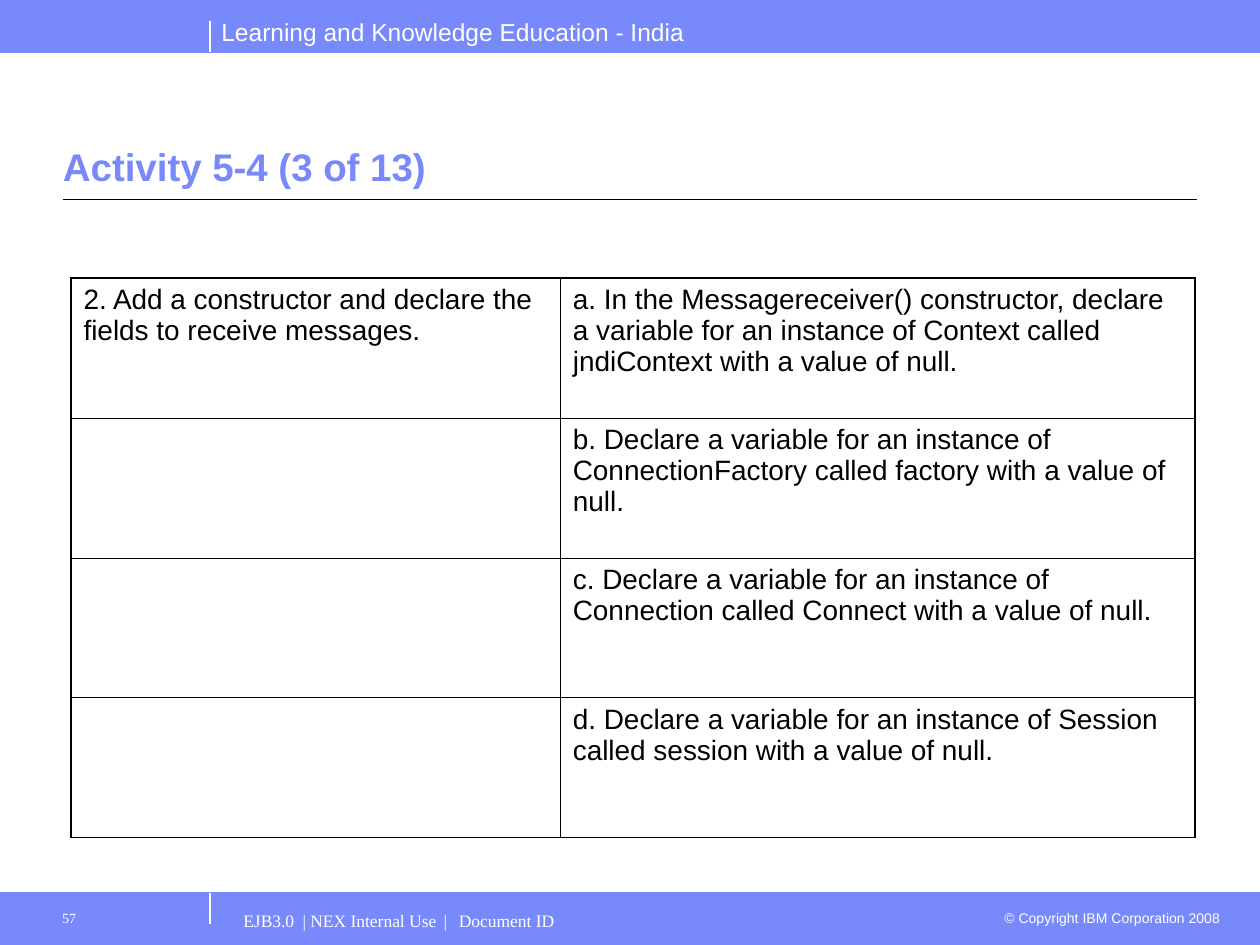
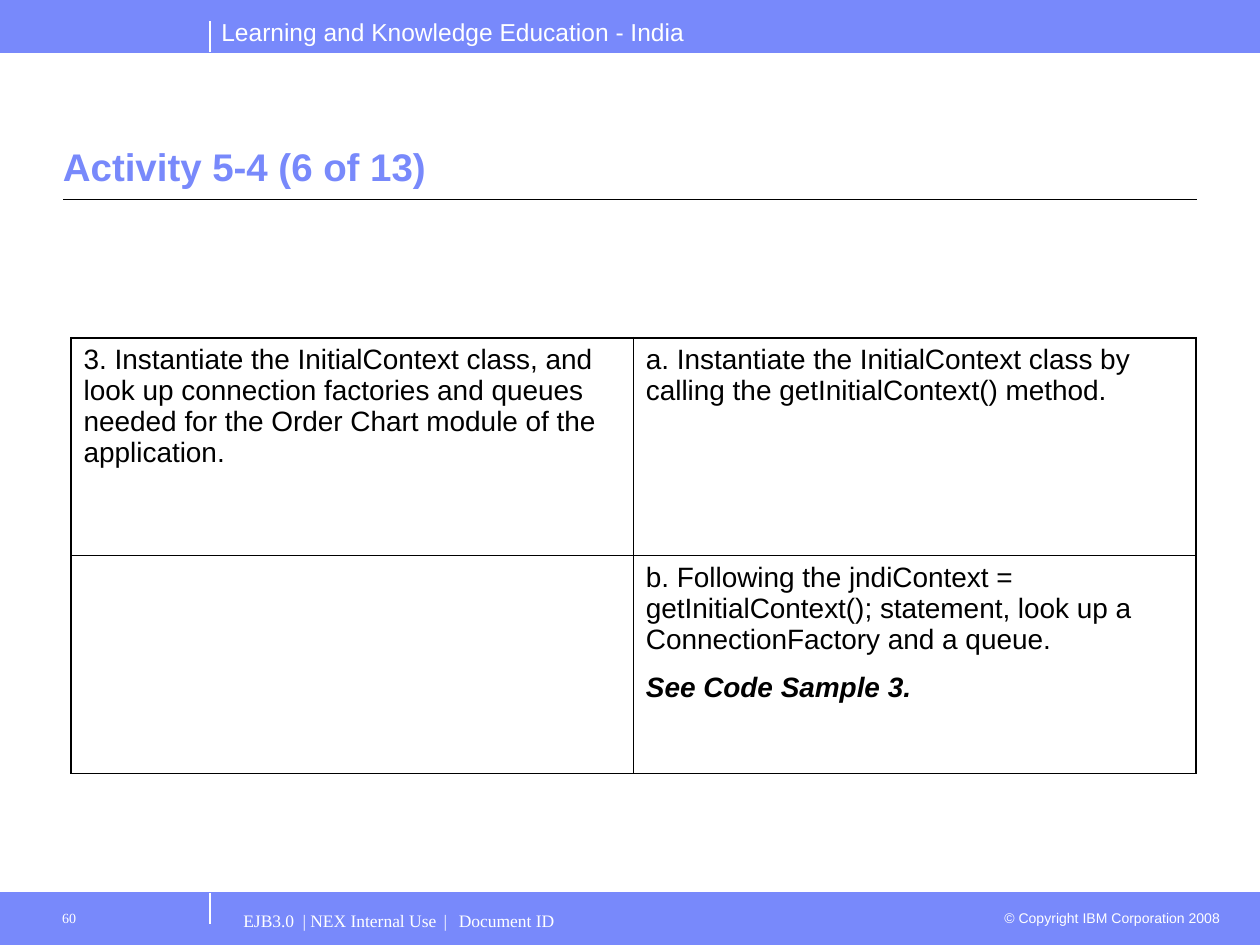
from lxml.etree import SubElement
from pptx import Presentation
from pptx.dml.color import RGBColor
from pptx.enum.shapes import MSO_CONNECTOR, MSO_SHAPE
from pptx.enum.text import MSO_ANCHOR, PP_ALIGN
from pptx.oxml.ns import qn
from pptx.util import Inches, Pt

# The slide is a grid of 60 columns by 45 rows; positions are in grid units.
COLUMNS, ROWS = 60, 45
UNIT = Inches(10) // COLUMNS
BAND_HEIGHT = 2.5
FOOTER_TOP = ROWS - BAND_HEIGHT
DIVIDER = 10
MARGIN = 3
TABLE_LEFT = 3.38

BLUE = RGBColor(0x78, 0x89, 0xFB)
WHITE = RGBColor(0xFF, 0xFF, 0xFF)
BLACK = RGBColor(0x00, 0x00, 0x00)
SANS, SERIF = "Arial", "Times New Roman"
OUTER_BORDER, INNER_BORDER = Pt(1.08), Pt(0.45)

HEADER = "Learning and Knowledge Education - India"
COPYRIGHT = "© Copyright IBM Corporation 2008"
FOOTER = "EJB3.0\t| NEX Internal Use\t|\tDocument ID"
FOOTER_TABS = (0.47, 1.59, 1.71)

# Start and end of each line, then its colour and width in points.
FRAME_LINES = [
    (DIVIDER, ROWS - 1, DIVIDER, FOOTER_TOP, WHITE, 0.75),
    (0, BAND_HEIGHT, COLUMNS, BAND_HEIGHT, BLUE, 0.5),
    (0, FOOTER_TOP, COLUMNS, FOOTER_TOP, BLUE, 0.5),
    (MARGIN, 9.5, COLUMNS - MARGIN, 9.5, BLACK, 0.75),
    (DIVIDER, BAND_HEIGHT, DIVIDER, 1, WHITE, 0.75),
]

ACTIVITIES = [
    {
        "title": "Activity 5-4 (3 of 13)",
        "number": "57",
        "top": 13.25,
        "widths": (23.3, 30.22),
        "row_height": 6.66,
        "rows": [
            ("2. Add a constructor and declare the fields to receive messages.",
             "a. In the Messagereceiver() constructor, declare a variable for an "
             "instance of Context called jndiContext with a value of null."),
            ("", "b. Declare a variable for an instance of ConnectionFactory "
                 "called factory with a value of null."),
            ("", "c. Declare a variable for an instance of Connection called "
                 "Connect with a value of null."),
            ("", "d. Declare a variable for an instance of Session called "
                 "session with a value of null."),
        ],
    },
    {
        "title": "Activity 5-4 (6 of 13)",
        "number": "60",
        "top": 16.08,
        "widths": (26.78, 26.8),
        "row_height": 10.38,
        "rows": [
            ("3. Instantiate the InitialContext class, and look up connection "
             "factories and queues needed for the Order Chart module of the "
             "application.",
             "a. Instantiate the InitialContext class by calling the "
             "getInitialContext() method."),
            ("", "b. Following the jndiContext = getInitialContext(); statement, "
                 "look up a ConnectionFactory and a queue.\nSee Code Sample 3."),
        ],
    },
]


def grid(*lengths):
    """Turn grid units into slide lengths."""
    return [round(length * UNIT) for length in lengths]


def add_text(slide, box, text, font, size, color=WHITE, left_inset=0.1,
             top_inset=0.05, tabs=()):
    """Add a one-paragraph text box and return its text frame."""
    frame = slide.shapes.add_textbox(*grid(*box)).text_frame
    frame.word_wrap = True
    frame.margin_left = Inches(left_inset)
    frame.margin_top = Inches(top_inset)
    paragraph = frame.paragraphs[0]
    paragraph.text = text
    if tabs:
        tab_list = SubElement(paragraph._p.get_or_add_pPr(), qn("a:tabLst"))
        for position in tabs:
            SubElement(tab_list, qn("a:tab"), pos=str(Inches(position)), algn="l")
    paragraph.font.name = font
    paragraph.font.size = Pt(size)
    paragraph.font.color.rgb = color
    return frame


presentation = Presentation()
presentation.slide_width, presentation.slide_height = grid(COLUMNS, ROWS)

for activity in ACTIVITIES:
    slide = presentation.slides.add_slide(presentation.slide_layouts[6])

    # Bands and lines
    for band_top in (FOOTER_TOP, 0):
        band = slide.shapes.add_shape(
            MSO_SHAPE.RECTANGLE, *grid(0, band_top, COLUMNS, BAND_HEIGHT))
        band.shadow.inherit = False
        band.fill.solid()
        band.fill.fore_color.rgb = BLUE
        band.line.color.rgb = BLUE
        band.line.width = Pt(0.75)
    for *ends, color, width in FRAME_LINES:
        line = slide.shapes.add_connector(MSO_CONNECTOR.STRAIGHT, *grid(*ends))
        line.line.color.rgb = color
        line.line.width = Pt(width)
        SubElement(line._element.spPr, qn("a:effectLst"))

    # Header, title and footer
    add_text(slide, (9.95, 0.5, 25, 2), HEADER, SANS, 14)
    notice = add_text(slide, (47, 43, 11.7, 1.45), COPYRIGHT, SANS, 8)
    notice.paragraphs[0].alignment = PP_ALIGN.RIGHT
    title = add_text(slide, (MARGIN, 3.8, COLUMNS - 2 * MARGIN, 5.5),
                     activity["title"], SANS, 22, BLUE, left_inset=0)
    title.vertical_anchor = MSO_ANCHOR.BOTTOM
    title.paragraphs[0].font.bold = True
    add_text(slide, (11, 42.9, 36, 2.1), FOOTER, SERIF, 10,
             top_inset=0.07, tabs=FOOTER_TABS)
    add_text(slide, (2, 42.9, 8, 2.1), activity["number"], SERIF, 8,
             left_inset=0.16, top_inset=0.07)

    # Table of steps
    steps, widths = activity["rows"], activity["widths"]
    row_height = activity["row_height"]
    table = slide.shapes.add_table(
        len(steps), len(widths),
        *grid(TABLE_LEFT, activity["top"], sum(widths), row_height * len(steps))
    ).table
    table.first_row = False
    table.horz_banding = False
    for column, width in zip(table.columns, grid(*widths)):
        column.width = width
    for row_index, step in enumerate(steps):
        table.rows[row_index].height = grid(row_height)[0]
        for column_index, text in enumerate(step):
            cell = table.cell(row_index, column_index)
            cell.text = text
            for paragraph in cell.text_frame.paragraphs:
                paragraph.space_after = Pt(10)
                paragraph.font.name = SANS
                paragraph.font.size = Pt(16)
                paragraph.font.color.rgb = BLACK
                if paragraph.text.startswith("See Code"):
                    paragraph.font.bold = True
                    paragraph.font.italic = True
            outer_sides = {
                "lnL": column_index == 0,
                "lnR": column_index == len(widths) - 1,
                "lnT": row_index == 0,
                "lnB": row_index == len(steps) - 1,
            }
            properties = cell._tc.get_or_add_tcPr()
            for side, is_outer in outer_sides.items():
                border_width = OUTER_BORDER if is_outer else INNER_BORDER
                border = SubElement(properties, qn(f"a:{side}"), w=str(border_width))
                border_fill = SubElement(border, qn("a:solidFill"))
                SubElement(border_fill, qn("a:srgbClr"), val=str(BLACK))
            cell.fill.background()

presentation.save("out.pptx")
